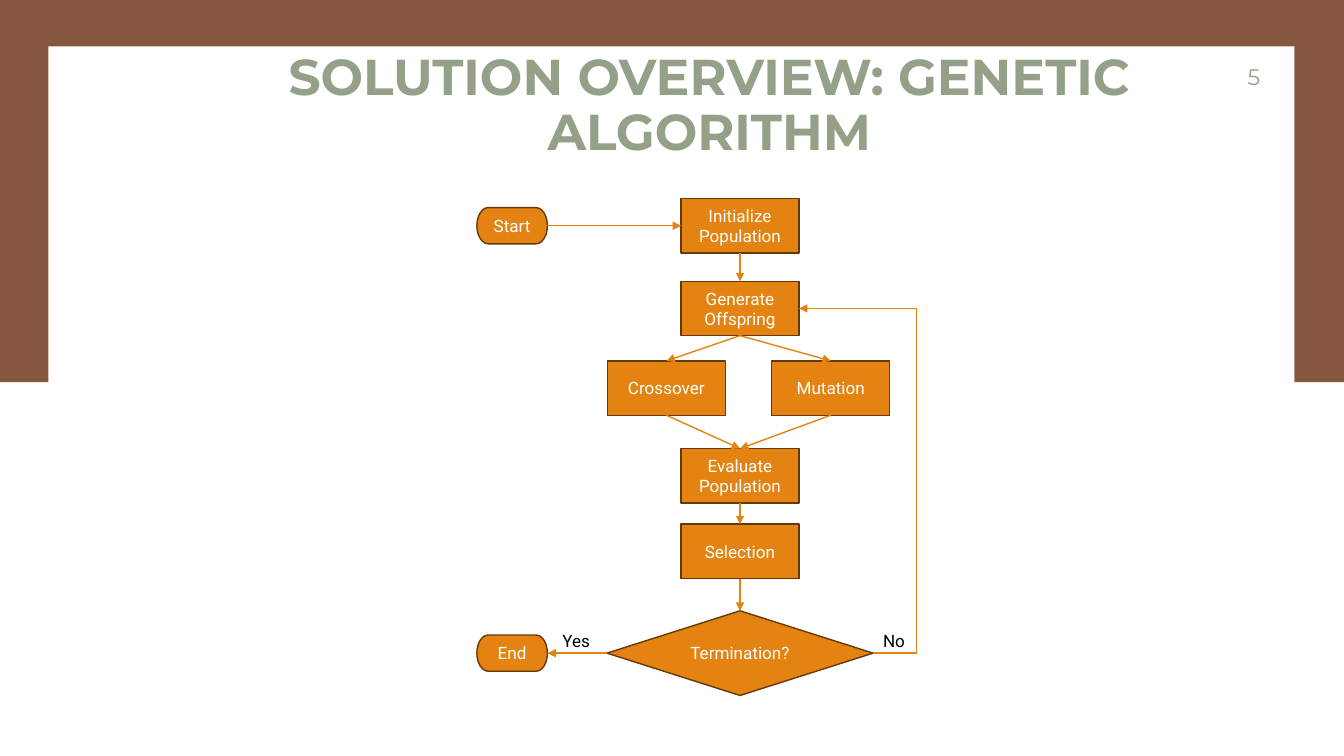
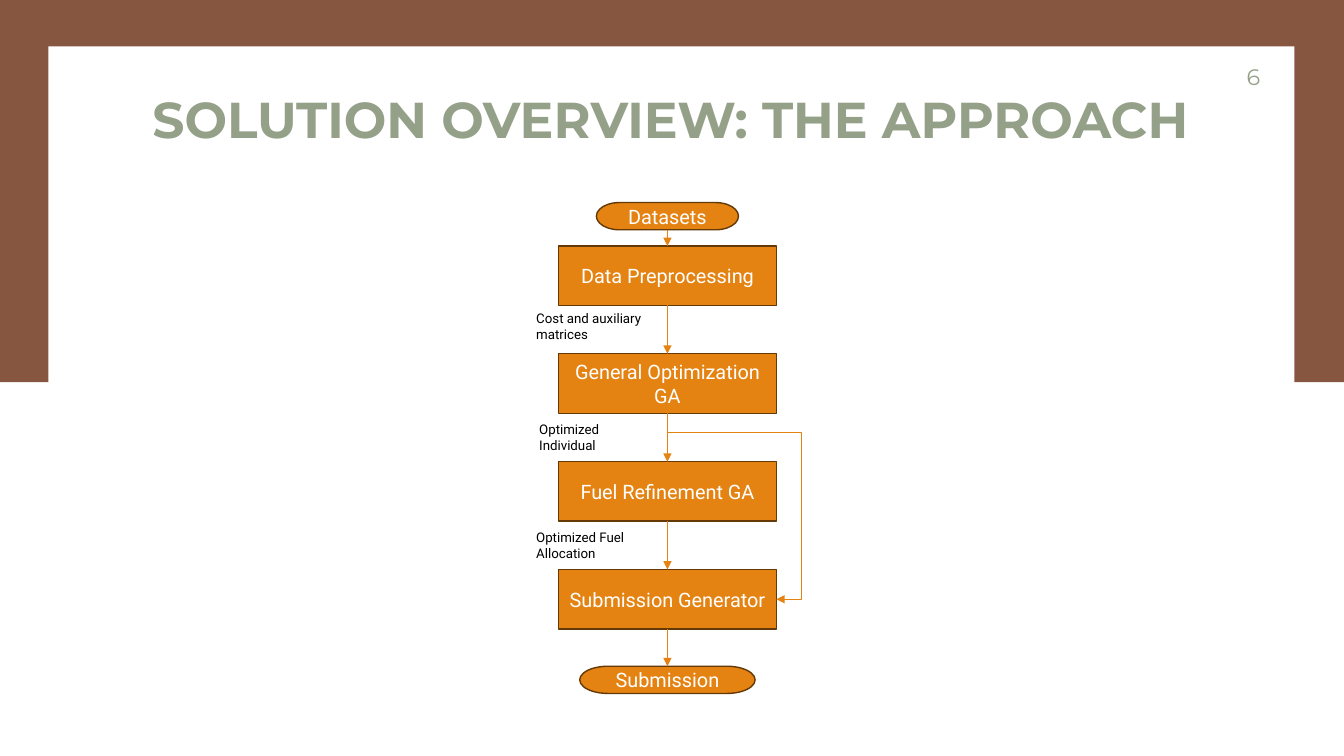
from lxml.etree import SubElement
from pptx import Presentation
from pptx.dml.color import RGBColor
from pptx.enum.shapes import MSO_CONNECTOR as LINK, MSO_SHAPE as FORM
from pptx.enum.text import MSO_ANCHOR as ANCHOR, MSO_AUTO_SIZE as FIT, PP_ALIGN as ALIGN
from pptx.oxml.ns import qn
from pptx.util import Emu, Pt

EMU_PER_PX = 9144  # 100 px to the inch
COLORS = {"frame": "865640", "paper": "FFFFFF", "heading": "94A088",
          "node": "E48312", "edge": "643908", "label": "000000"}
HEADING_FONT, BODY_FONT = "Montserrat", "Roboto"
TOP, LEFT, BOTTOM, RIGHT = range(4)  # connection sites of a node


def px(length):
    return Emu(round(length * EMU_PER_PX))


def color(name):
    return RGBColor.from_string(COLORS[name])


def apply(target, values):
    for attribute, value in values.items():
        setattr(target, attribute, value)


def write(frame, text, font, size, ink, align=ALIGN.LEFT, anchor=ANCHOR.TOP,
          insets=(10, 5, 10, 5), bold=False, spacing=None):
    sides = ("margin_left", "margin_top", "margin_right", "margin_bottom")
    apply(frame, {"word_wrap": True, "auto_size": FIT.NONE, "vertical_anchor": anchor,
                  **dict(zip(sides, map(px, insets)))})
    frame.text = text
    paragraph = frame.paragraphs[0]
    apply(paragraph, {"alignment": align, "line_spacing": spacing})
    run_font = paragraph.runs[0].font
    apply(run_font, {"name": font, "size": Pt(size), "bold": bold})
    run_font.color.rgb = color(ink)


def add_form(slide, form, box, fill, edge=None):
    shape = slide.shapes.add_shape(form, *map(px, box))
    shape.shadow.inherit = False
    shape.fill.solid()
    shape.fill.fore_color.rgb = color(fill)
    if edge:
        shape.line.color.rgb = color(edge)
        shape.line.width = Pt(1)
    else:
        shape.line.fill.background()
    return shape


def move_frame_to_layout(slide):
    """Draw the brown frame once and let every slide inherit it."""
    tree = slide.slide_layout.shapes._spTree
    parts = [((-3, 0, 1336, 379), "frame"), ((48, 46, 1236, 659), "paper")]
    for order, (box, fill) in enumerate(parts):
        element = add_form(slide, FORM.RECTANGLE, box, fill)._element
        element.nvSpPr.cNvPr.set("id", str(100 + order))
        tree.insert(2 + order, element)


def add_heading(slide, title, box, number):
    placeholder = slide.shapes.title
    apply(placeholder, dict(zip(("left", "top", "width", "height"), map(px, box))))
    write(placeholder.text_frame, title, HEADING_FONT, 36, "heading", ALIGN.CENTER,
          ANCHOR.BOTTOM, (10, 0, 10, 0), bold=True, spacing=0.9)
    page = slide.shapes.add_textbox(*map(px, (1133, 50, 117, 52)))
    write(page.text_frame, str(number), HEADING_FONT, 16, "heading", ALIGN.RIGHT,
          ANCHOR.MIDDLE, (10, 5, 0, 5))


def add_nodes(slide, origin, size, nodes):
    """Place nodes given as text: (form, centre x, top, width, height)."""
    placed = {}
    for text, (form, center, top, width, height) in nodes.items():
        box = (origin[0] + center - width / 2, origin[1] + top, width, height)
        node = add_form(slide, form, box, "node", "edge")
        write(node.text_frame, text, BODY_FONT, size, "paper", ALIGN.CENTER,
              ANCHOR.MIDDLE, (5, 0, 5, 0))
        placed[text] = node
    return placed


def add_labels(slide, origin, size, labels):
    for text, left, top, width in labels:
        label = slide.shapes.add_textbox(px(origin[0] + left), px(origin[1] + top),
                                         px(width), px(35))
        write(label.text_frame, text, BODY_FONT, size, "label")


def style_link(link):
    link.line.color.rgb = color("node")
    link.line.width = Pt(1)
    properties = link._element.spPr
    SubElement(properties.get_or_add_ln(), qn("a:tailEnd"), type="triangle")
    SubElement(properties, qn("a:effectLst"))


def add_arrow(slide, source, target, leave=BOTTOM, enter=TOP):
    arrow = slide.shapes.add_connector(LINK.STRAIGHT, 0, 0, 0, 0)
    arrow.begin_connect(source, leave)
    arrow.end_connect(target, enter)
    style_link(arrow)


def add_elbow(slide, start, end, preset, bends):
    """Add a bent arrow; bends are fractions of its width and height."""
    elbow = slide.shapes.add_connector(LINK.ELBOW, *start, *end)
    geometry = elbow._element.spPr.find(qn("a:prstGeom"))
    geometry.set("prst", preset)
    guides = geometry.find(qn("a:avLst"))
    if guides is None:
        guides = SubElement(geometry, qn("a:avLst"))
    for index, bend in enumerate(bends, 1):
        SubElement(guides, qn("a:gd"), name=f"adj{index}",
                   fmla=f"val {round(bend * 100000)}")
    style_link(elbow)
    return elbow


def right_middle(node):
    return node.left + node.width, node.top + node.height // 2


def bottom_middle(node):
    return node.left + node.width // 2, node.top + node.height


def add_return_loop(slide, source, target, reach):
    """Lead from right side to right side, passing reach px beyond the source."""
    start, end = right_middle(source), right_middle(target)
    add_elbow(slide, start, end, "bentConnector3", [-px(reach) / (start[0] - end[0])])


def add_bypass(slide, source, target, drop, reach):
    """Lead from the bottom of source around to the right side of target."""
    (x1, y1), (x2, y2) = bottom_middle(source), right_middle(target)
    across, down = x2 - x1, y2 - y1
    middle_x, middle_y = (x1 + x2) // 2, (y1 + y2) // 2
    start = middle_x + down // 2, middle_y - across // 2
    end = middle_x - down // 2, middle_y + across // 2
    bypass = add_elbow(slide, start, end, "bentConnector4",
                       [px(drop) / down, 1 + px(reach) / across])
    bypass._element.spPr.find(qn("a:xfrm")).set("rot", str(270 * 60000))


def add_genetic_flow(slide, origin):
    def step(center, top):
        return FORM.RECTANGLE, center, top, 117, 54

    def terminal(top):
        return FORM.FLOWCHART_TERMINATOR, 35, top, 70, 36

    axis = 261
    nodes = add_nodes(slide, origin, 12.2, {
        "Start": terminal(9),
        "Initialize Population": step(axis, 0),
        "Generate Offspring": step(axis, 82),
        "Crossover": step(188, 161),
        "Mutation": step(351, 161),
        "Evaluate Population": step(axis, 248),
        "Selection": step(axis, 323),
        "Termination?": (FORM.FLOWCHART_DECISION, axis, 409, 264, 84),
        "End": terminal(433),
    })
    start, setup, offspring, crossover, mutation, evaluation, selection, check, end = \
        nodes.values()
    add_arrow(slide, start, setup, RIGHT, LEFT)
    add_arrow(slide, check, end, LEFT, RIGHT)
    add_arrow(slide, setup, offspring)
    for operator in (crossover, mutation):
        add_arrow(slide, offspring, operator)
        add_arrow(slide, operator, evaluation)
    add_arrow(slide, evaluation, selection)
    add_arrow(slide, selection, check)
    add_return_loop(slide, check, offspring, 43)
    add_labels(slide, origin, 12.2, [("Yes", 75, 424, 60), ("No", 393, 424, 60)])


def add_approach_flow(slide, origin):
    axis, first, pitch = 140, 43, 107
    stages = ["Data Preprocessing", "General Optimization GA",
              "Fuel Refinement GA", "Submission Generator"]
    nodes = add_nodes(slide, origin, 14.2, {
        "Datasets": (FORM.FLOWCHART_TERMINATOR, axis, 0, 141, 27),
        **{stage: (FORM.RECTANGLE, axis, first + row * pitch, 216, 59)
           for row, stage in enumerate(stages)},
        "Submission": (FORM.FLOWCHART_TERMINATOR, axis, 460, 174, 27),
    })
    chain = list(nodes.values())
    for source, target in zip(chain, chain[1:]):
        add_arrow(slide, source, target)
    add_bypass(slide, nodes["General Optimization GA"], nodes["Submission Generator"],
               19, 25)
    add_labels(slide, origin, 9.5, [
        ("Cost and auxiliary matrices", 0, 102, 165),
        ("Optimized Individual", 3, 212, 100),
        ("Optimized Fuel Allocation", 0, 319, 130),
    ])


def main():
    deck = Presentation()
    apply(deck, {"slide_width": px(1333), "slide_height": px(750)})
    title_only = deck.slide_layouts[5]
    pages = [
        ("SOLUTION OVERVIEW: GENETIC ALGORITHM", (265, 49, 877, 111),
         add_genetic_flow, (473, 197)),
        ("SOLUTION OVERVIEW: THE APPROACH", (90, 37, 1150, 111),
         add_approach_flow, (522, 201)),
    ]
    for number, (title, title_box, add_flow, origin) in enumerate(pages, 5):
        slide = deck.slides.add_slide(title_only)
        add_heading(slide, title, title_box, number)
        add_flow(slide, origin)
    move_frame_to_layout(slide)
    deck.save("out.pptx")


if __name__ == "__main__":
    main()
